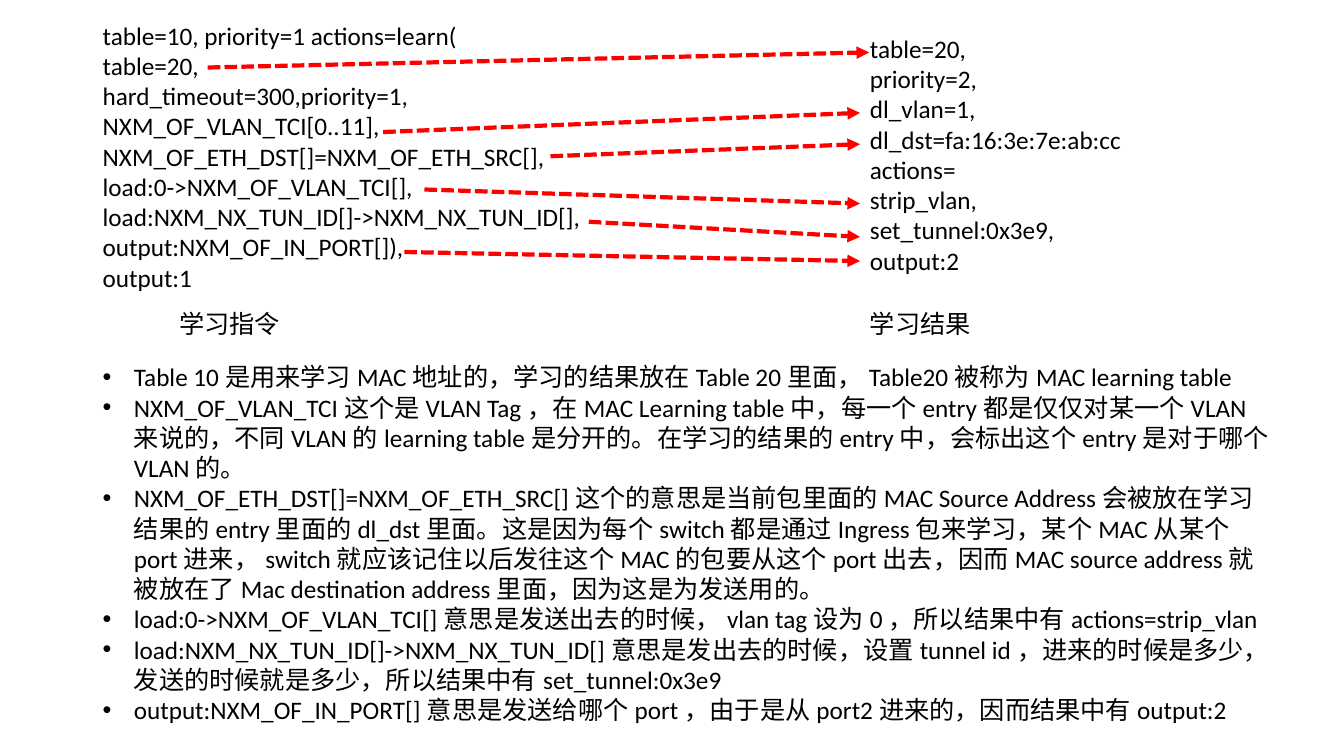
from lxml import etree
from pptx import Presentation
from pptx.dml.color import RGBColor
from pptx.enum.dml import MSO_LINE
from pptx.enum.shapes import MSO_CONNECTOR
from pptx.enum.text import MSO_AUTO_SIZE
from pptx.oxml.ns import qn
from pptx.util import Inches, Pt


def rgb(value):
    return RGBColor.from_string(value)


def add_text(s, lines, x, y, w, h, size=18, color="000000", wrap=True, bullet=False):
    tf = s.shapes.add_textbox(Inches(x), Inches(y), Inches(w), Inches(h)).text_frame
    tf.word_wrap = wrap
    tf.auto_size = MSO_AUTO_SIZE.SHAPE_TO_FIT_TEXT
    for i, line in enumerate(lines):
        p = tf.paragraphs[0] if i == 0 else tf.add_paragraph()
        if bullet:
            pPr = p._p.get_or_add_pPr()
            pPr.set("marL", str(Inches(0.31)))
            pPr.set("indent", str(-Inches(0.31)))
            etree.SubElement(pPr, qn("a:buFont")).set("typeface", "Arial")
            etree.SubElement(pPr, qn("a:buChar")).set("char", "•")
        r = p.add_run()
        r.text = line
        r.font.name = "Calibri"
        r.font.size = Pt(size)
        r.font.color.rgb = rgb(color)


prs = Presentation()
prs.slide_width, prs.slide_height = Inches(13.33), Inches(7.5)
s = prs.slides.add_slide(prs.slide_layouts[6])

# Learn instruction and the flow it produces
learn_action = [
    "table=10, priority=1 actions=learn(",
    "table=20,",
    "hard_timeout=300,priority=1,",
    "NXM_OF_VLAN_TCI[0..11],",
    "NXM_OF_ETH_DST[]=NXM_OF_ETH_SRC[],",
    "load:0->NXM_OF_VLAN_TCI[],",
    "load:NXM_NX_TUN_ID[]->NXM_NX_TUN_ID[],",
    "output:NXM_OF_IN_PORT[]),",
    "output:1",
]
learned_flow = [
    "table=20,",
    "priority=2,",
    "dl_vlan=1,",
    "dl_dst=fa:16:3e:7e:ab:cc",
    "actions=",
    "strip_vlan,",
    "set_tunnel:0x3e9,",
    "output:2",
]
add_text(s, learn_action, 0.92, 0.15, 11.98, 2.83)
add_text(s, learned_flow, 8.53, 0.28, 3.13, 2.52)

# Explanation
notes = [
    "Table 10是用来学习MAC地址的，学习的结果放在Table 20里面，Table20被称为MAC learning table",
    "NXM_OF_VLAN_TCI这个是VLAN Tag，在MAC Learning table中，每一个entry都是仅仅对某一个VLAN来说的，"
    "不同VLAN的learning table是分开的。在学习的结果的entry中，会标出这个entry是对于哪个VLAN的。",
    "NXM_OF_ETH_DST[]=NXM_OF_ETH_SRC[]这个的意思是当前包里面的MAC Source Address会被放在学习结果的entry里面的"
    "dl_dst里面。这是因为每个switch都是通过Ingress包来学习，某个MAC从某个port进来，"
    "switch就应该记住以后发往这个MAC的包要从这个port出去，因而MAC source address就被放在了"
    "Mac destination address里面，因为这是为发送用的。",
    "load:0->NXM_OF_VLAN_TCI[]意思是发送出去的时候，vlan tag设为0，所以结果中有actions=strip_vlan",
    "load:NXM_NX_TUN_ID[]->NXM_NX_TUN_ID[]意思是发出去的时候，设置tunnel id，进来的时候是多少，"
    "发送的时候就是多少，所以结果中有set_tunnel:0x3e9",
    "output:NXM_OF_IN_PORT[]意思是发送给哪个port，由于是从port2进来的，因而结果中有output:2",
]
add_text(s, notes, 0.92, 3.54, 11.84, 3.43, bullet=True)

# Arrows from each instruction to its result
arrows = [
    (2.06, 0.67, 8.62, 0.52),
    (3.8, 1.31, 8.53, 1.12),
    (5.46, 1.55, 8.53, 1.43),
    (4.21, 1.88, 8.53, 2.02),
    (5.84, 2.2, 8.53, 2.35),
    (4.01, 2.5, 8.53, 2.59),
]
for ends in arrows:
    arrow = s.shapes.add_connector(MSO_CONNECTOR.STRAIGHT, *map(Inches, ends))
    arrow.line.color.rgb = rgb("FF0000")
    arrow.line.width = Pt(3)
    arrow.line.dash_style = MSO_LINE.SQUARE_DOT
    spPr = arrow._element.spPr
    ln = spPr.find(qn("a:ln"))
    ln.find(qn("a:prstDash")).set("val", "sysDash")
    etree.SubElement(ln, qn("a:tailEnd")).set("type", "triangle")
    etree.SubElement(spPr, qn("a:effectLst"))

# Captions
for caption, x in [("学习指令", 1.68), ("学习结果", 8.53)]:
    add_text(s, [caption], x, 3.01, 1.21, 0.4, wrap=False)

prs.save("out.pptx")
